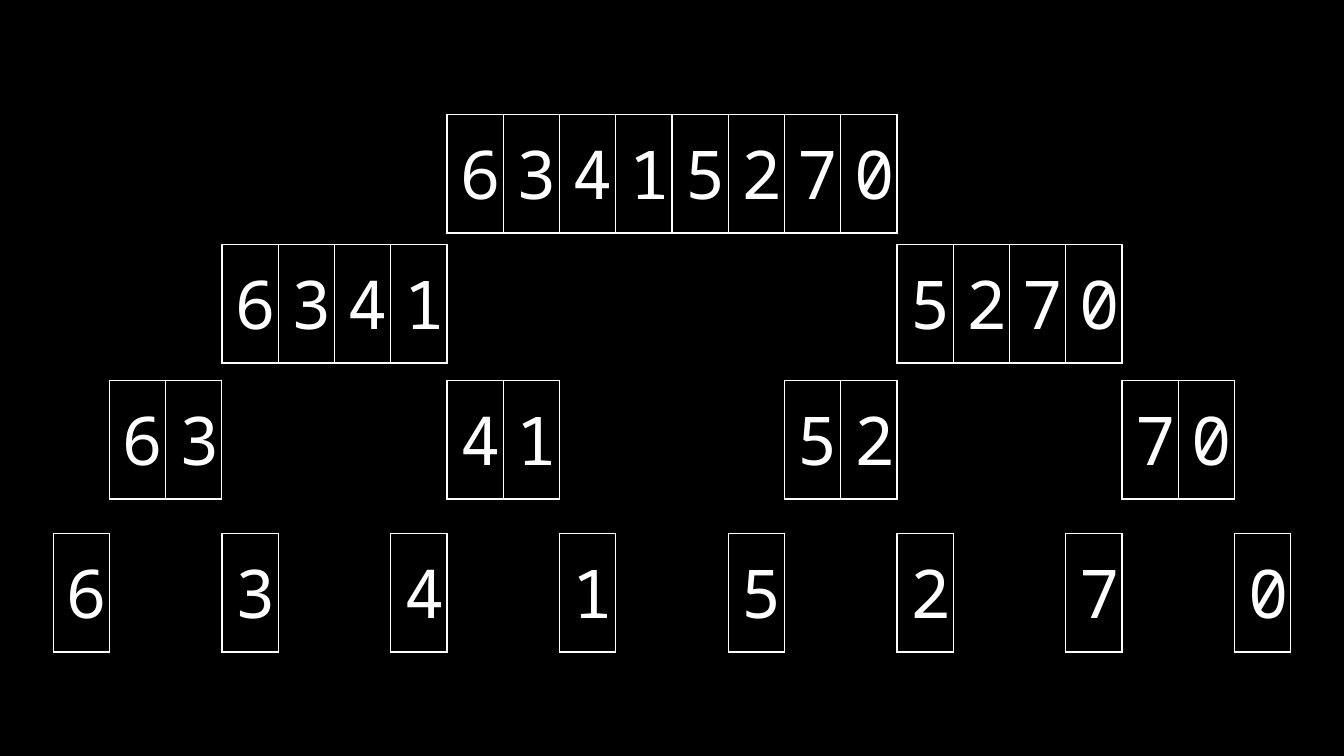
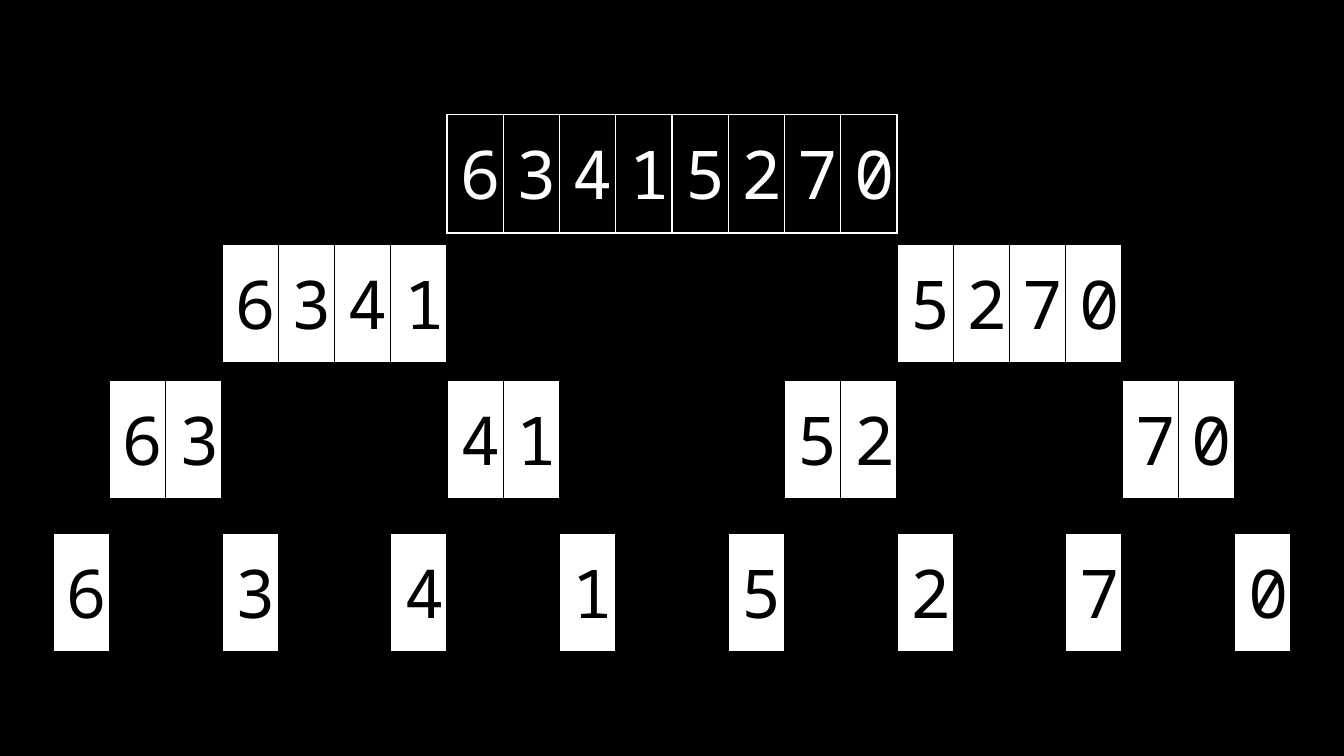
from pptx import Presentation
from pptx.dml.color import RGBColor
from pptx.enum.text import MSO_ANCHOR, PP_ALIGN
from pptx.oxml import parse_xml
from pptx.oxml.ns import nsdecls
from pptx.util import Pt

BLACK = RGBColor(0x00, 0x00, 0x00)
WHITE = RGBColor(0xFF, 0xFF, 0xFF)
FONT = "Noto Sans Mono"

SLIDE_WIDTH, SLIDE_HEIGHT = 720, 405
CELL_WIDTH, ROW_HEIGHT, TABLE_HEIGHT = 30.14, 23, 57.6
PADDING = Pt(7.2)
BORDER_WIDTH = Pt(0.75)

DIGITS = "63415270"
LEVEL_TOPS = {8: 61.3, 4: 131, 2: 203.8, 1: 285.8}  # group size: top
SLOT_COUNT = 3 * len(DIGITS) - 2  # single cells stand two empty slots apart
TREE_LEFT = (SLIDE_WIDTH - SLOT_COUNT * CELL_WIDTH) / 2


def add_cell_borders(cell, color):
    properties = cell._tc.get_or_add_tcPr()
    for side in ("lnL", "lnR", "lnT", "lnB"):
        properties.append(parse_xml(
            f'<a:{side} {nsdecls("a")} w="{BORDER_WIDTH}"><a:solidFill>'
            f'<a:srgbClr val="{color}"/></a:solidFill></a:{side}>'))


def add_group(slide, start, size, inverted):
    """Add the digits from start as one table, centred over its single cells."""
    left = TREE_LEFT + (3 * start + size - 1) * CELL_WIDTH
    shape = slide.shapes.add_table(
        1, size, Pt(left), Pt(LEVEL_TOPS[size]), Pt(size * CELL_WIDTH), Pt(ROW_HEIGHT))
    shape.height = Pt(TABLE_HEIGHT)
    table = shape.table
    table.first_row = False
    table.horz_banding = False
    ink = BLACK if inverted else WHITE
    for cell, digit in zip(table.iter_cells(), DIGITS[start:start + size]):
        add_cell_borders(cell, ink)
        if inverted:
            cell.fill.solid()
            cell.fill.fore_color.rgb = WHITE
        else:
            cell.fill.background()
        cell.vertical_anchor = MSO_ANCHOR.MIDDLE
        cell.margin_left = cell.margin_right = PADDING
        cell.margin_top = cell.margin_bottom = PADDING
        cell.text_frame.text = digit
        paragraph = cell.text_frame.paragraphs[0]
        paragraph.alignment = PP_ALIGN.CENTER
        font = paragraph.runs[0].font
        font.name = FONT
        font.size = Pt(36)
        font.color.rgb = ink


presentation = Presentation()
presentation.slide_width = Pt(SLIDE_WIDTH)
presentation.slide_height = Pt(SLIDE_HEIGHT)

for splits_inverted in (False, True):
    slide = presentation.slides.add_slide(presentation.slide_layouts[6])
    slide.background.fill.solid()
    slide.background.fill.fore_color.rgb = BLACK
    for start in range(len(DIGITS)):
        for size in LEVEL_TOPS:
            if start % size == 0:
                is_split = size < len(DIGITS)
                add_group(slide, start, size, splits_inverted and is_split)

presentation.save("out.pptx")
